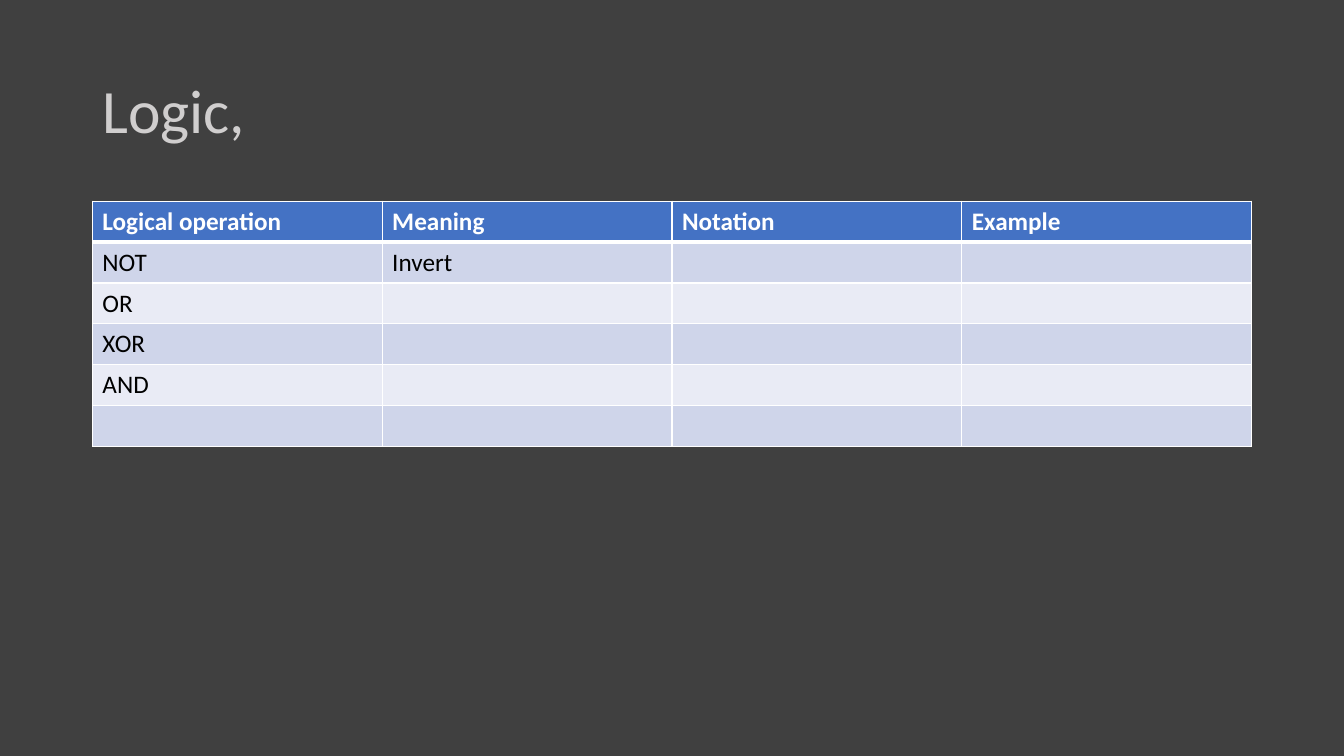
from lxml import etree
from pptx import Presentation
from pptx.dml.color import RGBColor
from pptx.enum.text import MSO_ANCHOR, PP_ALIGN
from pptx.oxml.ns import qn
from pptx.util import Pt

MIDDLE = MSO_ANCHOR.MIDDLE
LEFT = PP_ALIGN.LEFT
TITLE_ONLY = 5
X, WIDTH = 66, 828
ROW = 29.2
WHITE, BLACK = "FFFFFF", "000000"
HEAD, BANDS = "4472C4", ("E9EBF5", "CFD5EA")
ROWS = [
    ["Logical operation", "Meaning", "Notation", "Example"],
    ["NOT", "Invert ", "", ""],
    ["OR", "", "", ""],
    ["XOR", "", "", ""],
    ["AND", "", "", ""],
    ["", "", "", ""],
]


def color(code):
    """Turn a hex string into a colour."""
    return RGBColor.from_string(code)


def style(font, code, size, bold=False):
    """Format a font."""
    for name, value in {"name": "Calibri", "size": Pt(size), "bold": bold}.items():
        setattr(font, name, value)
    font.color.rgb = color(code)


def add_title(slide, text):
    """Place and format the slide title."""
    title = slide.shapes.title
    box = {"left": X, "top": 28.75, "width": WIDTH, "height": 104.4}
    for name, value in box.items():
        setattr(title, name, Pt(value))
    title.text_frame.vertical_anchor = MIDDLE
    title.text_frame.text = text
    para = title.text_frame.paragraphs[0]
    para.alignment = LEFT
    para.line_spacing = 0.9
    style(para.runs[0].font, "D0CECE", 44)


def add_edges(cell, widths):
    """Draw white cell borders of the given widths."""
    props = cell._tc.get_or_add_tcPr()
    for side, width in widths.items():
        line = etree.SubElement(props, qn(f"a:ln{side}"), w=str(Pt(width)))
        fill = etree.SubElement(line, qn("a:solidFill"))
        etree.SubElement(fill, qn("a:srgbClr"), val=WHITE)


def fill_cell(cell, text, row):
    """Write one cell and set its look by row."""
    head = row == 0
    add_edges(cell, {"L": 1, "R": 1, "T": 3 if row == 1 else 1, "B": 3 if head else 1})
    cell.fill.solid()
    cell.fill.fore_color.rgb = color(HEAD if head else BANDS[row % 2])
    cell.text = text
    style(cell.text_frame.paragraphs[0].font, WHITE if head else BLACK, 18, head)
    for run in cell.text_frame.paragraphs[0].runs:
        style(run.font, WHITE if head else BLACK, 18, head)


def add_grid(slide, rows):
    """Add the table of logical operations."""
    count = len(rows[0])
    frame = slide.shapes.add_table(
        len(rows), count, Pt(X), Pt(143.75), Pt(WIDTH), Pt(ROW * len(rows)))
    grid = frame.table
    for column in grid.columns:
        column.width = Pt(WIDTH / count)
    for row, texts in enumerate(rows):
        grid.rows[row].height = Pt(ROW)
        for col, text in enumerate(texts):
            fill_cell(grid.cell(row, col), text, row)


def main():
    """Build and save the slide."""
    deck = Presentation()
    deck.slide_width, deck.slide_height = Pt(960), Pt(540)
    slide = deck.slides.add_slide(deck.slide_layouts[TITLE_ONLY])
    slide.background.fill.solid()
    slide.background.fill.fore_color.rgb = color("404040")
    add_title(slide, "Logic, ")
    add_grid(slide, ROWS)
    deck.save("out.pptx")


main()
